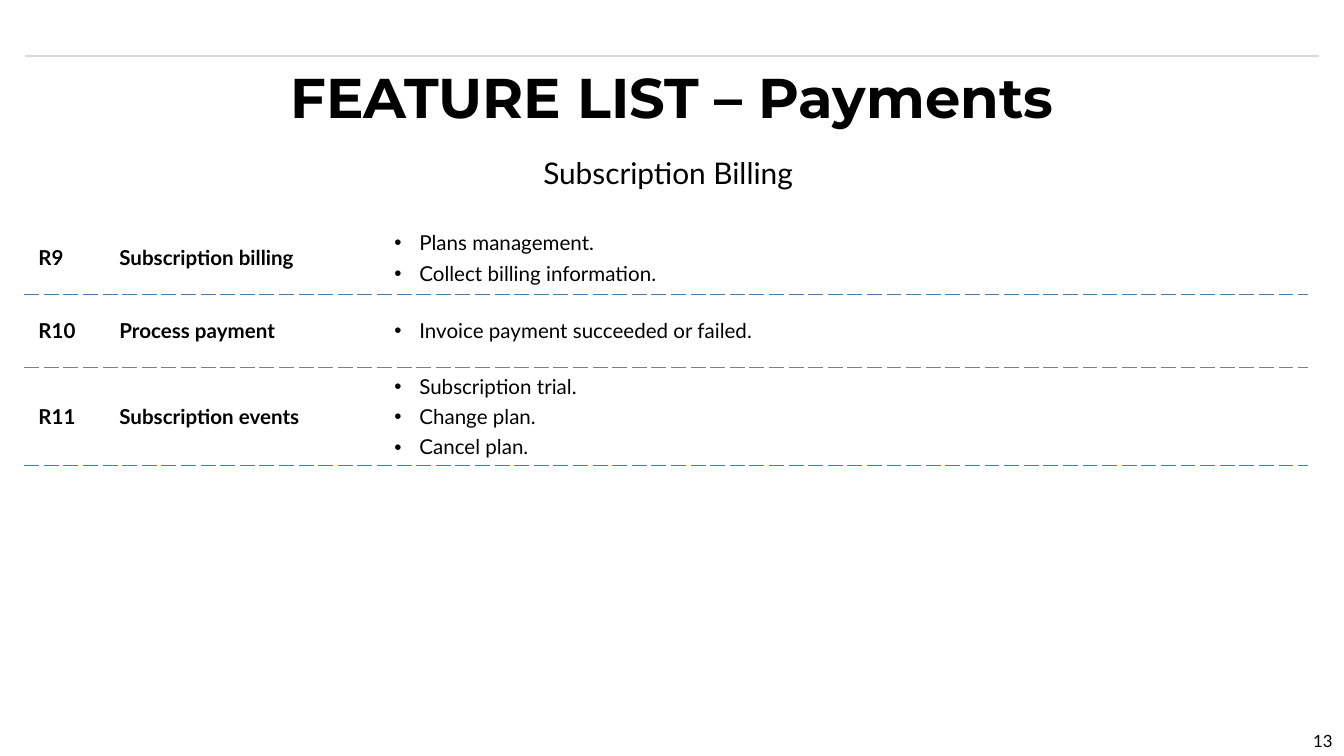
import pptx
import pptx.dml.color
import pptx.enum.shapes
import pptx.enum.text
import pptx.oxml
import pptx.oxml.ns
import pptx.util

RGBColor = pptx.dml.color.RGBColor
Align = pptx.enum.text.PP_ALIGN
Anchor = pptx.enum.text.MSO_ANCHOR
AutoSize = pptx.enum.text.MSO_AUTO_SIZE

BLACK = RGBColor(0x00, 0x00, 0x00)
RULE_GREY = RGBColor(0xD9, 0xD9, 0xD9)
ROW_GREY = RGBColor(0x7F, 0x7F, 0x7F)
ROW_BLUE = RGBColor(0x3A, 0x81, 0xBA)

EMU_PER_PX = 914400 / 134.4
WIDTH, HEIGHT = 1344, 756

TITLE_FONT = {"name": "Montserrat", "size": pptx.util.Pt(30), "bold": True}
SUBTITLE_FONT = {"name": "Lato", "size": pptx.util.Pt(16)}
LABEL_FONT = {"name": "Lato", "size": pptx.util.Pt(11), "bold": True}
DETAIL_FONT = {"name": "Lato", "size": pptx.util.Pt(11), "bold": False}
NUMBER_FONT = {"name": "Lato", "size": pptx.util.Pt(9)}

COLUMNS = [81, 275, 926]
FEATURES = [
    ("R9", "Subscription billing",
     ["Plans management.", "Collect billing information."], 72, ROW_BLUE),
    ("R10", "Process payment",
     ["Invoice payment succeeded or failed."], 73, ROW_GREY),
    ("R11", "Subscription events",
     ["Subscription trial.", "Change plan.", "Cancel plan."], 99, ROW_BLUE),
]


def px(n):
    """Turn pixels into EMU."""
    return pptx.util.Emu(round(n * EMU_PER_PX))


def assign(obj, values):
    """Set each attribute of an object from a dict."""
    for name, value in values.items():
        setattr(obj, name, value)


def xml(tag, attrs="", inner=""):
    """Make a drawing element."""
    ns = pptx.oxml.ns.nsdecls("a")
    return pptx.oxml.parse_xml(f"<a:{tag} {ns} {attrs}>{inner}</a:{tag}>")


def write(p, text, font):
    """Add a black run to a paragraph."""
    r = p.add_run()
    r.text = text
    assign(r.font, font)
    r.font.color.rgb = BLACK


def place(sp, box):
    """Move and size a shape."""
    assign(sp, dict(zip(("left", "top", "width", "height"), map(px, box))))


def add_title(s, text, box):
    """Fill and format the title placeholder."""
    sp = s.shapes.title
    place(sp, box)
    tf = sp.text_frame
    assign(tf, {"auto_size": AutoSize.NONE, "word_wrap": True,
                "vertical_anchor": Anchor.MIDDLE})
    assign(tf, {f"margin_{side}": px(13)
                for side in ("left", "top", "right", "bottom")})
    p = tf.paragraphs[0]
    p.alignment = Align.CENTER
    write(p, text, TITLE_FONT)


def add_text(s, text, box, font, align=Align.LEFT):
    """Add a text box of one line."""
    tf = s.shapes.add_textbox(*map(px, box)).text_frame
    assign(tf, {"word_wrap": True, "auto_size": AutoSize.SHAPE_TO_FIT_TEXT})
    p = tf.paragraphs[0]
    p.alignment = align
    write(p, text, font)


def add_rule(s, x1, x2, y):
    """Add a thin horizontal line."""
    sp = s.shapes.add_connector(pptx.enum.shapes.MSO_CONNECTOR.STRAIGHT,
                                px(x1), px(y), px(x2), px(y))
    sp.line.color.rgb = RULE_GREY
    sp.line.width = pptx.util.Pt(0.75)
    sp._element.spPr.append(xml("effectLst"))


def format_cell(cell, above, below):
    """Clear the fill of a cell and dash its horizontal borders."""
    cell.vertical_anchor = Anchor.MIDDLE
    tcPr = cell._tc.get_or_add_tcPr()
    for tag, colour in (("lnT", above), ("lnB", below)):
        if colour is not None:
            tcPr.append(xml(tag, 'w="6350"',
                            f'<a:solidFill><a:srgbClr val="{colour}"/></a:solidFill>'
                            '<a:prstDash val="sysDash"/>'))
    cell.fill.background()


def add_bullets(tf, lines):
    """Write each line as a bulleted paragraph."""
    for i, line in enumerate(lines):
        p = tf.add_paragraph() if i else tf.paragraphs[0]
        p.space_after = pptx.util.Pt(3)
        pPr = p._p.get_or_add_pPr()
        pPr.set("marL", str(px(25)))
        pPr.set("indent", str(-px(25)))
        pPr.append(xml("buFont", 'typeface="Arial"'))
        pPr.append(xml("buChar", 'char="•"'))
        write(p, line, DETAIL_FONT)


def add_feature_table(s, left, top):
    """Add the table of features."""
    height = sum(feature[3] for feature in FEATURES)
    table = s.shapes.add_table(len(FEATURES), len(COLUMNS), px(left), px(top),
                               px(sum(COLUMNS)), px(height)).table
    assign(table, {"first_row": False, "horz_banding": False})
    for column, width in zip(table.columns, COLUMNS):
        column.width = px(width)
    above = None
    for row, (code, name, details, height, below) in zip(table.rows, FEATURES):
        row.height = px(height)
        for cell in row.cells:
            format_cell(cell, above, below)
        for cell, text in zip(row.cells, (code, name)):
            write(cell.text_frame.paragraphs[0], text, LABEL_FONT)
        add_bullets(row.cells[2].text_frame, details)
        above = below


def main():
    """Build the slide and save it."""
    prs = pptx.Presentation()
    assign(prs, {"slide_width": px(WIDTH), "slide_height": px(HEIGHT)})
    s = prs.slides.add_slide(prs.slide_layouts[5])
    add_text(s, "13", (1300, 724, 47, 34), NUMBER_FONT)
    add_title(s, "FEATURE LIST – Payments", (0, 57, WIDTH, 79))
    add_rule(s, 25, 1319, 56)
    add_feature_table(s, 25, 222)
    add_text(s, "Subscription Billing ", (0, 148, WIDTH, 50), SUBTITLE_FONT,
             Align.CENTER)
    prs.save("out.pptx")


if __name__ == "__main__":
    main()
